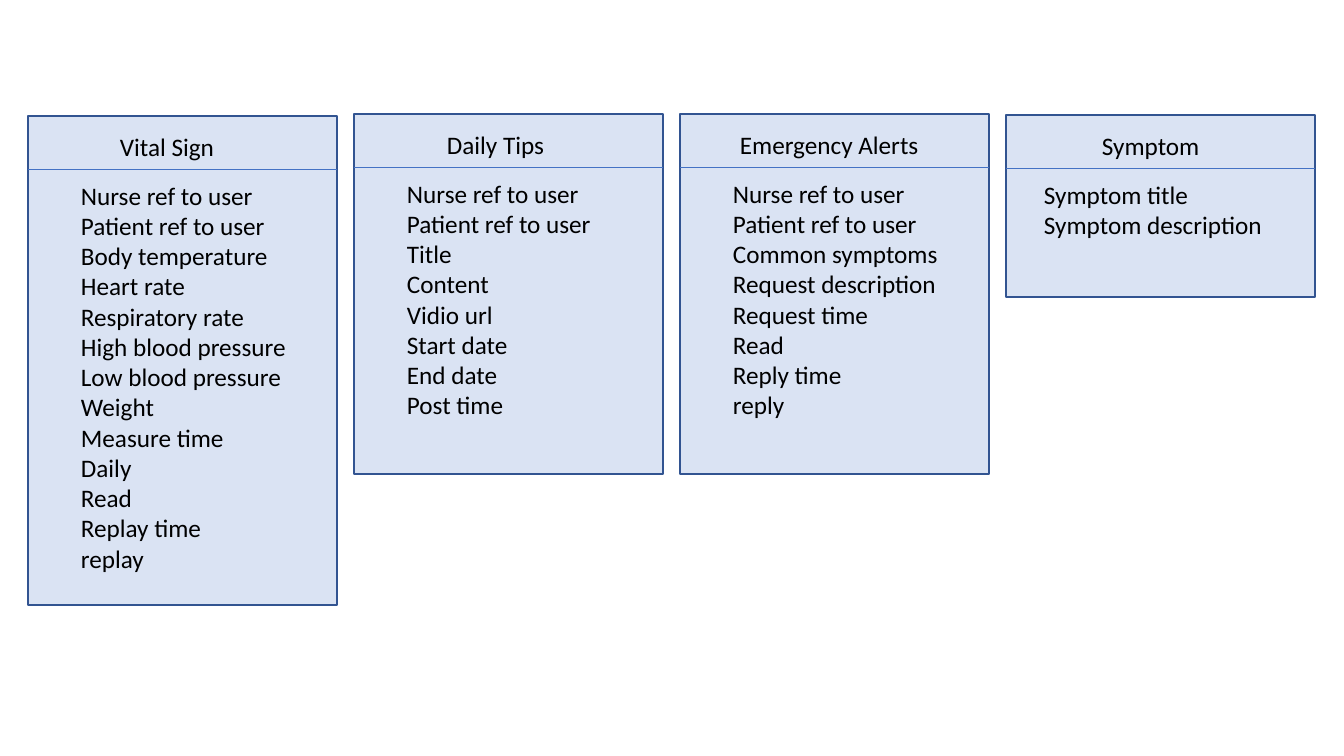
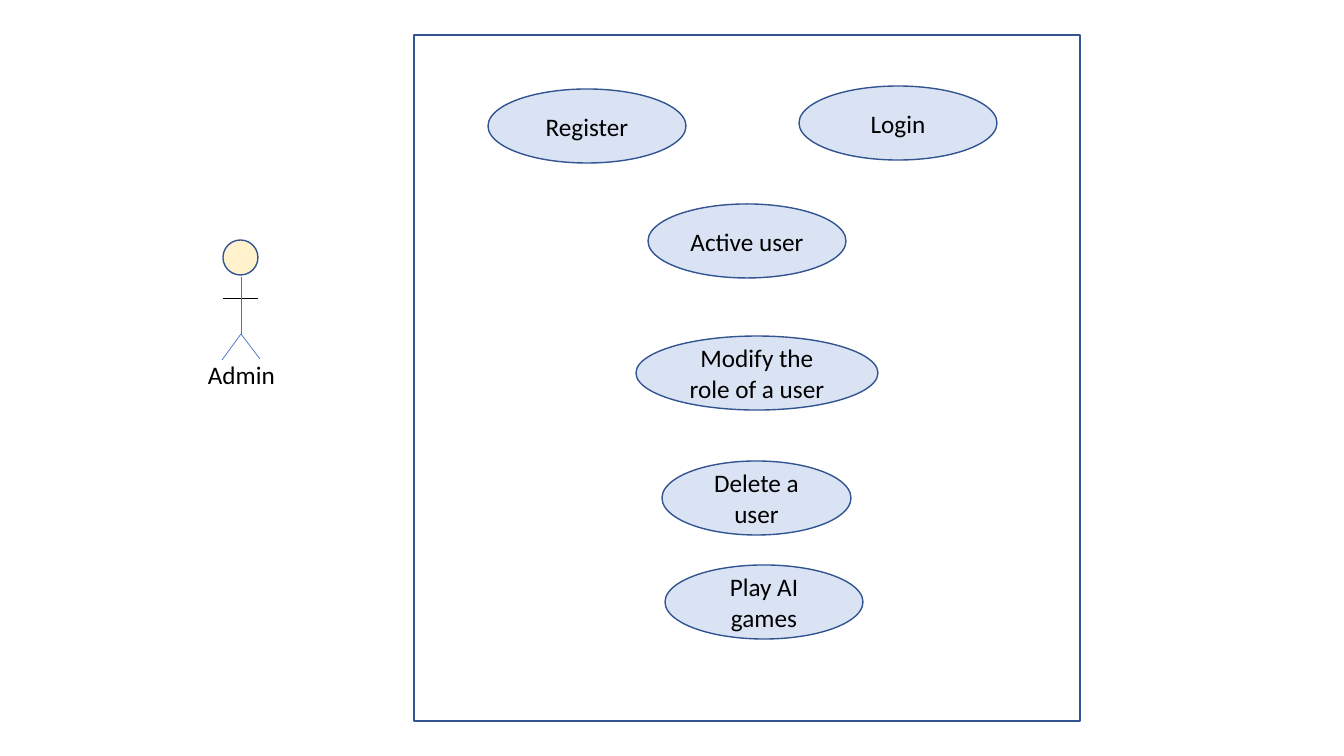
from typing import Any, NamedTuple, Optional

from lxml.etree import SubElement
from pptx import Presentation
from pptx.dml.color import RGBColor
from pptx.enum.shapes import MSO_CONNECTOR as Link, MSO_SHAPE as Kind
from pptx.enum.text import MSO_ANCHOR as Anchor, MSO_AUTO_SIZE as Fit, PP_ALIGN as Align
from pptx.oxml.ns import qn
from pptx.util import Emu, Pt

SCALE = 914400 / 100.8
PALE = RGBColor(0xDA, 0xE3, 0xF3)
EDGE = RGBColor(0x32, 0x54, 0x91)
BLUE = RGBColor(0x44, 0x72, 0xC4)
CREAM = RGBColor(0xFF, 0xF2, 0xCC)
BLACK = RGBColor(0, 0, 0)

FONT = {"name": "Calibri", "size": Pt(18)}
LABEL = {"word_wrap": True, "auto_size": Fit.SHAPE_TO_FIT_TEXT}
CENTRE = {"word_wrap": True, "vertical_anchor": Anchor.MIDDLE}

LEFT, PITCH, WIDTH, HEAD = 28, 326, 309, 53


class Box(NamedTuple):
    x: int
    y: int
    w: int
    h: int


class Card(NamedTuple):
    title: str
    items: list[str]
    top: int
    high: int
    title_x: int
    title_w: int
    body_x: int
    body_w: int
    body_h: int


class Case(NamedTuple):
    text: str
    box: Box


class Limb(NamedTuple):
    x1: int
    y1: int
    x2: int
    y2: int
    color: RGBColor


REFS = ["Nurse ref to user", "Patient ref to user"]
CARDS = [
    Card("Vital Sign", REFS + [
        "Body temperature", "Heart rate", "Respiratory rate",
        "High blood pressure", "Low blood pressure", "Weight",
        "Measure time", "Daily", "Read", "Replay time", "replay",
    ], 116, 489, 82, 165, 43, 231, 470),
    Card("Daily Tips", REFS + [
        "Title", "Content", "Vidio url", "Start date", "End date", "Post time",
    ], 114, 360, 83, 165, 43, 231, 437),
    Card("Emergency Alerts", REFS + [
        "Common symptoms", "Request description", "Request time",
        "Read", "Reply time", "reply",
    ], 114, 360, 50, 204, 43, 231, 437),
    Card("Symptom", ["Symptom title", "Symptom description"],
         115, 182, 86, 204, 28, 248, 254),
]
CASES = [
    Case("Active user", Box(648, 204, 198, 74)),
    Case("Login", Box(799, 86, 198, 74)),
    Case("Delete a user", Box(662, 461, 189, 74)),
    Case("Play AI games", Box(665, 565, 198, 74)),
    Case("Register", Box(488, 89, 198, 74)),
    Case("Modify the role of a user", Box(636, 336, 242, 74)),
]
LIMBS = [
    Limb(223, 298, 258, 298, BLACK),
    Limb(241, 334, 241, 277, BLUE),
    Limb(241, 334, 222, 360, BLUE),
    Limb(241, 334, 260, 359, BLUE),
]


def px(*sizes: int) -> list[Emu]:
    return [Emu(round(size * SCALE)) for size in sizes]


def style(item: Any, look: dict[str, Any]) -> None:
    for key, value in look.items():
        setattr(item, key, value)


def write(frame: Any, rows: list[str], look: dict[str, Any],
          align: Align = Align.LEFT) -> None:
    style(frame, look)
    for n, row in enumerate(rows):
        para = frame.add_paragraph() if n else frame.paragraphs[0]
        para.alignment = align
        run = para.add_run()
        run.text = row
        style(run.font, FONT)
        run.font.color.rgb = BLACK


def label(shapes: Any, box: Box, rows: list[str]) -> None:
    write(shapes.add_textbox(*px(*box)).text_frame, rows, LABEL)


def outline(shapes: Any, kind: Kind, box: Box, fill: Optional[RGBColor],
            weight: float = 1) -> Any:
    shape = shapes.add_shape(kind, *px(*box))
    shape.shadow.inherit = False
    if fill is None:
        shape.fill.background()
    else:
        shape.fill.solid()
        shape.fill.fore_color.rgb = fill
    shape.line.color.rgb = EDGE
    shape.line.width = Pt(weight)
    return shape


def stroke(shapes: Any, limb: Limb) -> None:
    line = shapes.add_connector(Link.STRAIGHT, *px(*limb[:4]))
    line.line.color.rgb = limb.color
    line.line.width = Pt(0.5)
    SubElement(line._element.spPr, qn("a:effectLst"))


def draw_card(shapes: Any, card: Card, x: int) -> None:
    top, rule = card.top, card.top + HEAD
    outline(shapes, Kind.RECTANGLE, Box(x, top, WIDTH, card.high), PALE)
    group = shapes.add_group_shape().shapes
    stroke(group, Limb(x, rule, x + WIDTH, rule, BLUE))
    label(group, Box(x + card.title_x, top + 10, card.title_w, 72), [card.title])
    label(group, Box(x + card.body_x, rule + 6, card.body_w, card.body_h), card.items)


def draw_case(shapes: Any, case: Case) -> None:
    oval = outline(shapes, Kind.OVAL, case.box, PALE)
    write(oval.text_frame, [case.text], CENTRE, Align.CENTER)


def draw_actor(shapes: Any) -> None:
    group = shapes.add_group_shape().shapes
    outline(group, Kind.OVAL, Box(223, 240, 35, 35), CREAM)
    for limb in LIMBS:
        stroke(group, limb)
    label(group, Box(198, 354, 109, 72), ["Admin"])


deck = Presentation()
deck.slide_width, deck.slide_height = px(1344, 756)
blank = deck.slide_layouts[6]

data = deck.slides.add_slide(blank).shapes
for n, card in enumerate(CARDS):
    draw_card(data, card, LEFT + n * PITCH)

admin = deck.slides.add_slide(blank).shapes
draw_actor(admin)
outline(admin, Kind.RECTANGLE, Box(414, 35, 666, 686), None, 1.25)
for case in CASES:
    draw_case(admin, case)

deck.save("out.pptx")
